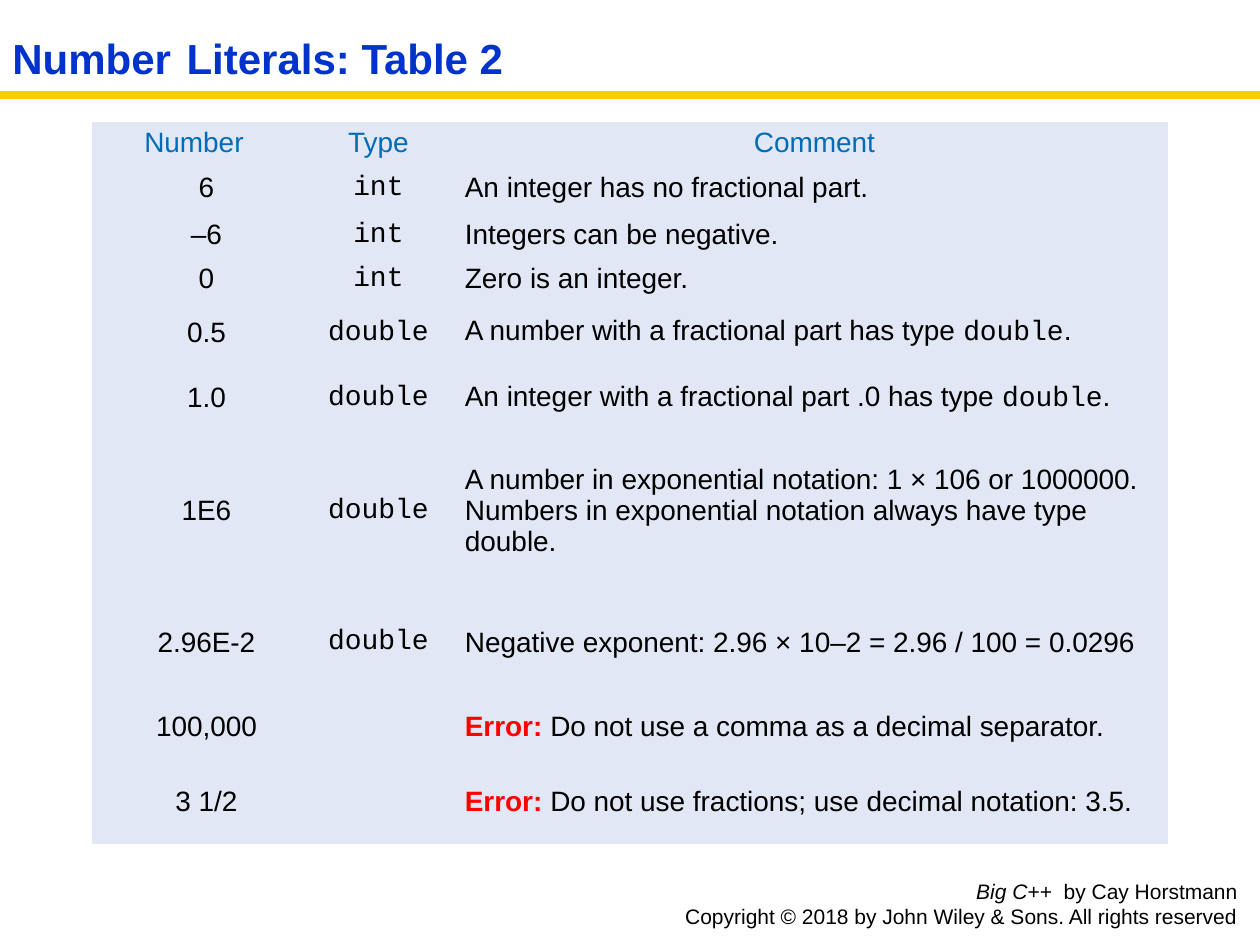
from pptx import Presentation
from pptx.dml.color import RGBColor
from pptx.enum.shapes import MSO_CONNECTOR as Connector
from pptx.enum.text import MSO_ANCHOR as Anchor, PP_ALIGN as Align
from pptx.oxml.ns import qn
from pptx.oxml.xmlchemy import OxmlElement
from pptx.util import Emu, Pt

NO_STYLE_NO_GRID = "{2D5ABB26-0587-4C30-8999-92F81FD0307C}"


def px(length):
    return Emu(round(length * 914400 / 126))


def color(hex_code):
    return RGBColor.from_string(hex_code)


class SlideBuilder:
    sans, mono = "Arial", "Courier New"
    black, title_blue, header_blue = "000000", "0033CC", "006CB7"
    gold, red, cell_fill = "FFCC00", "FF0000", "E1E7F5"

    def __init__(self, slide):
        self.slide = slide

    def add_runs(self, paragraph, runs, size, ink=black, align=Align.LEFT):
        """Each run is a text or a pair of text and its own font settings."""
        paragraph.alignment = align
        for item in runs:
            text, own = (item, {}) if isinstance(item, str) else item
            run = paragraph.add_run()
            run.text = text
            font = run.font
            font.name = own.get("name", self.sans)
            font.size = Pt(own.get("size", size))
            font.bold = own.get("bold", False)
            font.italic = own.get("italic", False)
            font.color.rgb = color(own.get("ink", ink))

    def text(self, left, top, width, height, lines, size, ink=black,
             align=Align.LEFT, anchor=Anchor.TOP):
        box = self.slide.shapes.add_textbox(px(left), px(top), px(width), px(height))
        frame = box.text_frame
        frame.word_wrap = True
        frame.vertical_anchor = anchor
        for number, runs in enumerate(lines):
            paragraph = frame.add_paragraph() if number else frame.paragraphs[0]
            self.add_runs(paragraph, runs, size, ink, align)

    def rule(self, left, right, y, weight):
        line = self.slide.shapes.add_connector(
            Connector.STRAIGHT, px(left), px(y), px(right), px(y))
        line.line.color.rgb = color(self.gold)
        line.line.width = Pt(weight)
        line._element.spPr.append(OxmlElement("a:effectLst"))

    def table(self, left, top, widths, heights):
        table = self.slide.shapes.add_table(
            len(heights), len(widths), px(left), px(top),
            px(sum(widths)), px(sum(heights))).table
        table.first_row = table.horz_banding = False
        table._tbl.tblPr.find(qn("a:tableStyleId")).text = NO_STYLE_NO_GRID
        for column, width in zip(table.columns, widths):
            column.width = px(width)
        for row, height in zip(table.rows, heights):
            row.height = px(height)
        for cell in table.iter_cells():
            cell.fill.solid()
            cell.fill.fore_color.rgb = color(self.cell_fill)
            cell.vertical_anchor = Anchor.MIDDLE
            cell.margin_left = cell.margin_right = px(4)
            cell.margin_top = cell.margin_bottom = px(4)
        return table

    def cell(self, cell, runs, ink=black, align=Align.LEFT):
        self.add_runs(cell.text_frame.paragraphs[0], runs, 16, ink, align)


def code(text):
    return text, {"name": SlideBuilder.mono}


def error(advice):
    return [("Error: ", {"bold": True, "ink": SlideBuilder.red}), advice]


LITERALS = [
    ("6", "int", ["An integer has no fractional part."]),
    ("–6", "int", ["Integers can be negative."]),
    ("0", "int", ["Zero is an integer."]),
    ("0.5", "double",
     ["A number with a fractional part has type ", code("double"), "."]),
    ("1.0", "double",
     ["An integer with a fractional part .0 has type ", code("double"), "."]),
    ("1E6", "double",
     ["A number in exponential notation: 1 × 106 or 1000000. "
      "Numbers in exponential notation always have type double."]),
    ("2.96E-2", "double",
     ["Negative exponent: 2.96 × 10–2 = 2.96 / 100 = 0.0296"]),
    ("100,000", "", error("Do not use a comma as a decimal separator.")),
    ("3 1/2", "", error("Do not use fractions; use decimal notation: 3.5.")),
]


def main():
    deck = Presentation()
    deck.slide_width, deck.slide_height = px(1260), px(945)
    page = SlideBuilder(deck.slides.add_slide(deck.slide_layouts[6]))

    # Title and the rule below it
    page.rule(0, 1260, 95, 4.5)
    bold = {"bold": True}
    page.text(0, 21, 1260, 73,
              [[("Number", bold), (" ", {"bold": True, "size": 8}),
                (" Literals: Table 2", bold)]],
              24, page.title_blue, anchor=Anchor.MIDDLE)

    # Table of literals, with a narrow empty column at the left
    table = page.table(92, 122, [25, 179, 165, 707],
                       [39, 48, 47, 39, 65, 66, 160, 103, 66, 84])
    table.cell(0, 0).merge(table.cell(0, 1))
    table.cell(1, 0).merge(table.cell(len(LITERALS), 0))
    for column, heading in [(0, "Number"), (2, "Type"), (3, "Comment")]:
        page.cell(table.cell(0, column), [heading], page.header_blue, Align.CENTER)
    for row, (number, kind, comment) in enumerate(LITERALS, start=1):
        page.cell(table.cell(row, 1), [number], align=Align.CENTER)
        if kind:
            page.cell(table.cell(row, 2), [code(kind)], align=Align.CENTER)
        page.cell(table.cell(row, 3), comment)

    # Footer
    page.text(525, 872, 725, 53,
              [[("Big C++ ", {"italic": True}), " by Cay Horstmann"],
               ["Copyright © 2018 by John Wiley & Sons. All rights reserved"]],
              12, align=Align.RIGHT)

    deck.save("out.pptx")


if __name__ == "__main__":
    main()
